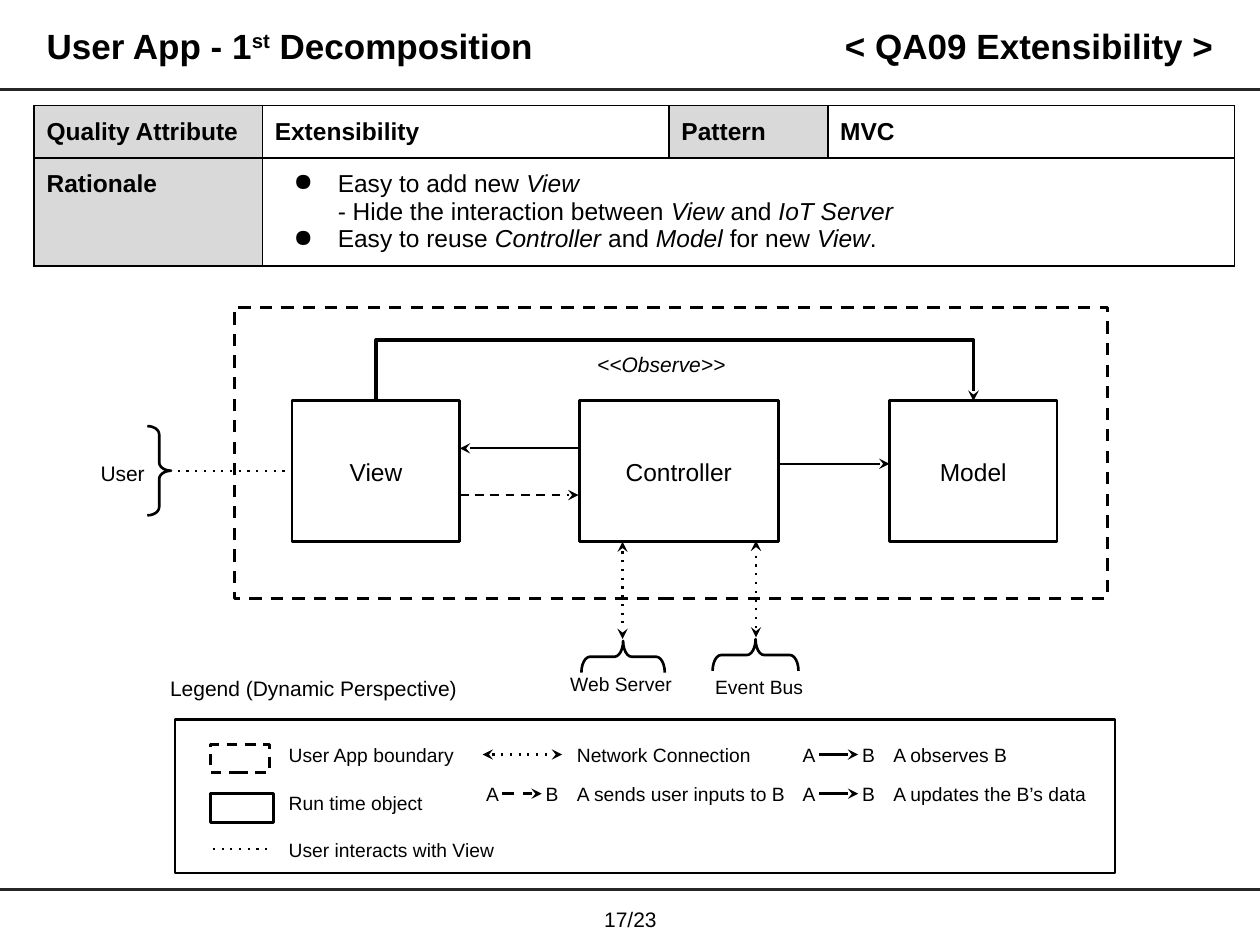
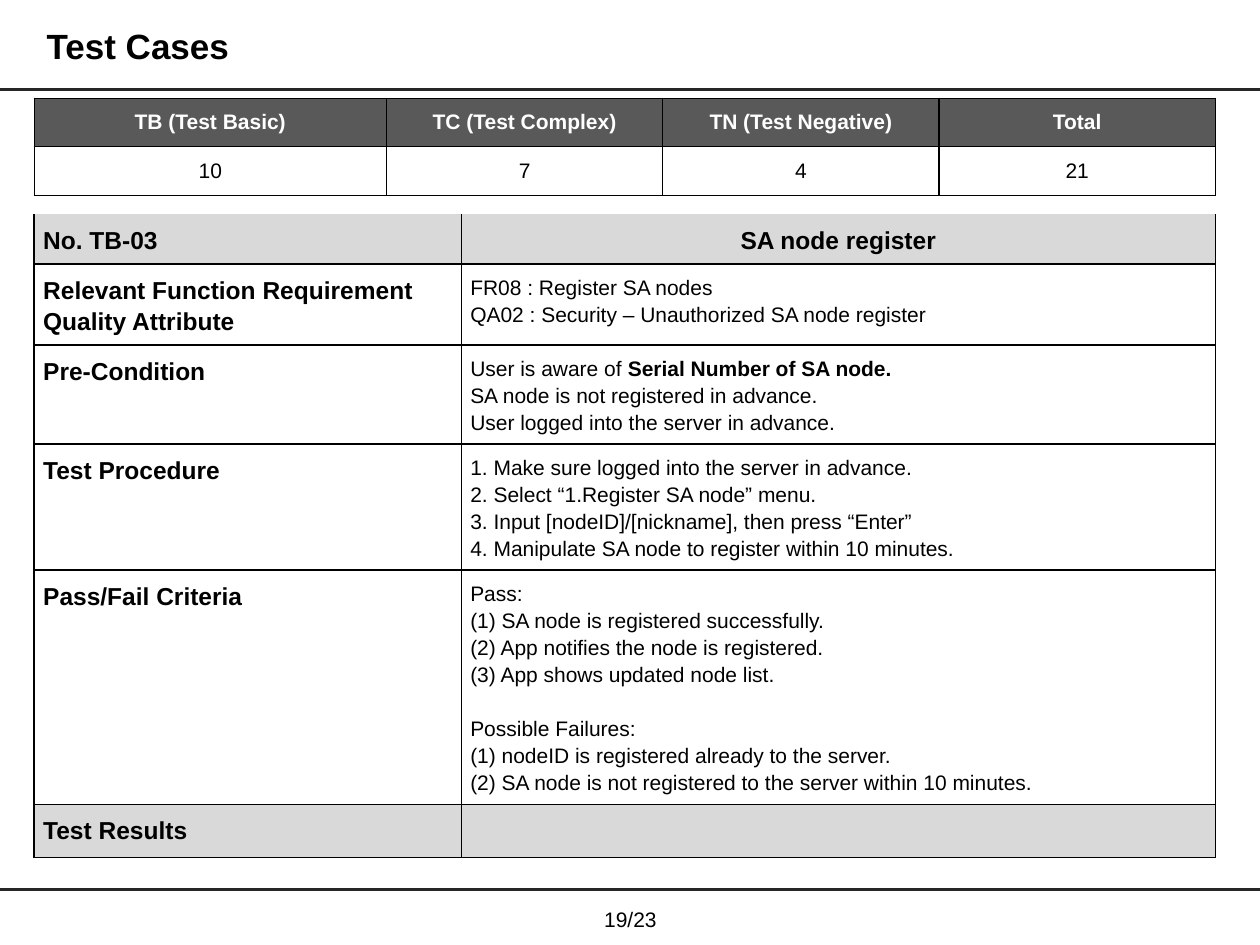
from lxml import etree
from pptx import Presentation
from pptx.dml.color import RGBColor
from pptx.enum.dml import MSO_LINE
from pptx.enum.shapes import MSO_CONNECTOR, MSO_SHAPE
from pptx.enum.text import MSO_ANCHOR, PP_ALIGN
from pptx.oxml.ns import qn
from pptx.util import Cm, Pt

LEFT, CENTER, RIGHT = PP_ALIGN.LEFT, PP_ALIGN.CENTER, PP_ALIGN.RIGHT
MIDDLE = MSO_ANCHOR.MIDDLE
DASH = MSO_LINE.DASH
STRAIGHT, ELBOW = MSO_CONNECTOR.STRAIGHT, MSO_CONNECTOR.ELBOW
RECTANGLE = MSO_SHAPE.RECTANGLE
LEFT_BRACE, RIGHT_BRACE = MSO_SHAPE.LEFT_BRACE, MSO_SHAPE.RIGHT_BRACE

FONT = "Arial"
COLORS = {
    "black": "000000",
    "white": "FFFFFF",
    "rule": "262626",
    "grey": "D9D9D9",
    "dark": "595959",
}
CELL_STYLES = {
    "key": (14, True, LEFT, "black", "grey"),
    "key_center": (14, True, CENTER, "black", "grey"),
    "name": (14, True, LEFT, "black", "white"),
    "list": (14, False, LEFT, "black", "white"),
    "text": (12, False, LEFT, "black", "white"),
    "count_head": (12, True, CENTER, "white", "dark"),
    "count": (12, False, CENTER, "black", "white"),
}


def write(frame, lines, size, bold=False, align=LEFT, color="black", spacing=1.0):
    for index, line in enumerate(lines):
        paragraph = frame.add_paragraph() if index else frame.paragraphs[0]
        paragraph.alignment = align
        paragraph.line_spacing = spacing
        pieces = [(line, "")] if isinstance(line, str) else line
        for text, mark in pieces:
            run = paragraph.add_run()
            run.text = text
            run.font.name = FONT
            run.font.size = Pt(size)
            run.font.bold = bold or mark == "bold"
            run.font.italic = mark == "italic"
            run.font.color.rgb = RGBColor.from_string(COLORS[color])
            if mark == "superscript":
                run.font._element.set("baseline", "30000")


def draw_line(slide, x1, y1, x2, y2, weight, dash="solid", ends="", color="black", kind=STRAIGHT):
    line = slide.shapes.add_connector(kind, Cm(x1), Cm(y1), Cm(x2), Cm(y2))
    line.line.color.rgb = RGBColor.from_string(COLORS[color])
    line.line.width = Pt(weight)
    properties = line._element.spPr
    outline = properties.find(qn("a:ln"))
    etree.SubElement(outline, qn("a:prstDash"), val=dash)
    for end in ends.split():
        etree.SubElement(outline, qn(f"a:{end}End"), type="stealth")
    etree.SubElement(properties, qn("a:effectLst"))
    return line


presentation = Presentation()
presentation.slide_width = Cm(25.4)
presentation.slide_height = Cm(19.05)
blank = presentation.slide_layouts[6]
design_slide = presentation.slides.add_slide(blank)
test_slide = presentation.slides.add_slide(blank)

labels = []
for slide, title, page in [
    (design_slide, [("User App - 1", ""), ("st", "superscript"), (" Decomposition", "")], "17/23"),
    (test_slide, "Test Cases", "19/23"),
]:
    for y in (1.8, 17.93):
        draw_line(slide, 0, y, 25.4, y, 1.75, color="rule")
    labels.append((slide, 0.84, 0.91, 15, title, 20, LEFT, True))
    labels.append((slide, 11.73, 18.53, 1.96, page, 12, CENTER, False))

tables = [
    (design_slide, 0.69, 2.13, [4.6, 8.2, 3.2, 8.2], [1.05, 2.18], 0.25, 1, 1.0, [
        [("key", ["Quality Attribute"]), ("name", ["Extensibility"]),
         ("key", ["Pattern"]), ("name", ["MVC"])],
        [("key", ["Rationale"]),
         ("list", [
             [("Easy to add new ", ""), ("View", "italic")],
             [("- Hide the interaction between ", ""), ("View ", "italic"),
              ("and ", ""), ("IoT Server", "italic")],
             [("Easy to reuse ", ""), ("Controller ", "italic"), ("and ", ""),
              ("Model ", "italic"), ("for new ", ""), ("View", "italic"), (".", "")],
         ]),
         ("list", []), ("list", [])],
    ]),
    (test_slide, 0.69, 4.32, [8.61, 15.2], [1, 1.63, 1.99, 2.53, 4.72, 0.99], 0.18, 1, 1.15, [
        [("key", ["No. TB-03"]), ("key_center", ["SA node register"])],
        [("name", ["Relevant Function Requirement", "Quality Attribute"]),
         ("text", ["FR08 : Register SA nodes",
                   "QA02 : Security – Unauthorized SA node register"])],
        [("name", ["Pre-Condition"]),
         ("text", [[("User is aware of ", ""), ("Serial Number of SA node.", "bold")],
                   "SA node is not registered in advance.",
                   "User logged into the server in advance."])],
        [("name", ["Test Procedure"]),
         ("text", ["1. Make sure logged into the server in advance.",
                   "2. Select “1.Register SA node” menu.",
                   "3. Input [nodeID]/[nickname], then press “Enter”",
                   "4. Manipulate SA node to register within 10 minutes."])],
        [("name", ["Pass/Fail Criteria"]),
         ("text", ["Pass:",
                   "(1) SA node is registered successfully.",
                   "(2) App notifies the node is registered.",
                   "(3) App shows updated node list.",
                   "Possible Failures:",
                   "(1) nodeID is registered already to the server.",
                   "(2) SA node is not registered to the server within 10 minutes."])],
        [("key", ["Test Results"]), ("key", [""])],
    ]),
    (test_slide, 0.69, 1.98, [7.1, 5.57, 5.57, 5.57], [0.98, 0.98], 0.25, 0.75, 1.0, [
        [("count_head", [text]) for text in
         ("TB (Test Basic)", "TC (Test Complex)", "TN (Test Negative)", "Total")],
        [("count", [text]) for text in ("10", "7", "4", "21")],
    ]),
]
built_tables = []
for slide, left, top, widths, heights, margin, border, spacing, rows in tables:
    table = slide.shapes.add_table(
        len(heights), len(widths), Cm(left), Cm(top), Cm(sum(widths)), Cm(sum(heights))
    ).table
    table.first_row = table.horz_banding = False
    for column, width in zip(table.columns, widths):
        column.width = Cm(width)
    for row, height in zip(table.rows, heights):
        row.height = Cm(height)
    for row_index, row_cells in enumerate(rows):
        for column_index, (style, lines) in enumerate(row_cells):
            size, bold, align, color, fill = CELL_STYLES[style]
            cell = table.cell(row_index, column_index)
            cell.margin_left = cell.margin_right = Cm(margin)
            cell.margin_top = cell.margin_bottom = Cm(margin)
            write(cell.text_frame, lines, size, bold, align, color, spacing)
            properties = cell._tc.get_or_add_tcPr()
            for side in "LRTB":
                edge = etree.SubElement(properties, qn(f"a:ln{side}"), w=str(Pt(border)))
                if side == "T" and row_index == 0 and style.startswith("key") and slide is test_slide:
                    etree.SubElement(edge, qn("a:noFill"))
                else:
                    paint = etree.SubElement(edge, qn("a:solidFill"))
                    etree.SubElement(paint, qn("a:srgbClr"), val=COLORS["black"])
            cell.fill.solid()
            cell.fill.fore_color.rgb = RGBColor.from_string(COLORS[fill])
    built_tables.append(table)

rationale = built_tables[0].cell(1, 1)
rationale.merge(built_tables[0].cell(1, 3))
for paragraph, bullet in zip(rationale.text_frame.paragraphs, ("●", "", "●")):
    properties = paragraph._p.get_or_add_pPr()
    properties.set("marL", str(Cm(1.27)))
    properties.set("indent", str(-Cm(0.89) if bullet else 0))
    if bullet:
        etree.SubElement(properties, qn("a:buChar"), char=bullet)

criteria = built_tables[1].cell(4, 1).text_frame
criteria.paragraphs[4].space_before = Pt(15.4)

components = {}
for name, left, top, width, height, weight, dash, filled in [
    ("", 3.53, 14.5, 18.95, 3.1, 1.5, None, True),
    ("", 4.24, 15.01, 1.19, 0.56, 1.5, DASH, False),
    ("", 4.24, 16, 1.27, 0.58, 1.5, None, True),
    ("", 4.72, 6.2, 17.6, 5.87, 1.75, DASH, False),
    ("View", 5.89, 8.08, 3.38, 2.84, 1.5, None, True),
    ("Controller", 11.68, 8.08, 4.01, 2.84, 1.5, None, True),
    ("Model", 17.93, 8.08, 3.38, 2.84, 1.5, None, True),
]:
    shape = design_slide.shapes.add_shape(RECTANGLE, Cm(left), Cm(top), Cm(width), Cm(height))
    shape.shadow.inherit = False
    if filled:
        shape.fill.solid()
        shape.fill.fore_color.rgb = RGBColor.from_string(COLORS["white"])
    else:
        shape.fill.background()
    shape.line.color.rgb = RGBColor.from_string(COLORS["black"])
    shape.line.width = Pt(weight)
    shape.line.dash_style = dash
    if name:
        write(shape.text_frame, [name], 14, align=CENTER)
        components[name] = shape

for kind, left, top, width, height, rotation, curl in [
    (LEFT_BRACE, 14.91, 12.34, 0.64, 1.73, 90, 0.27),
    (LEFT_BRACE, 12.24, 12.4, 0.64, 1.68, 90, 0.27),
    (RIGHT_BRACE, 2.97, 8.59, 0.48, 1.8, 0, 0.35),
]:
    brace = design_slide.shapes.add_shape(kind, Cm(left), Cm(top), Cm(width), Cm(height))
    brace.shadow.inherit = False
    brace.rotation = rotation
    brace.adjustments[0] = curl
    brace.fill.background()
    brace.line.color.rgb = RGBColor.from_string(COLORS["black"])
    brace.line.width = Pt(1.5)

for x1, y1, x2, y2, weight, dash, ends in [
    (9.73, 15.21, 11.33, 15.21, 1.25, "dot", "head tail"),
    (10.11, 16, 10.92, 16, 1.75, "dash", "tail"),
    (16.51, 15.21, 17.3, 15.21, 2, "solid", "tail"),
    (16.51, 16, 17.3, 16, 1.75, "solid", "tail"),
    (4.29, 17.12, 5.49, 17.12, 1.25, "dot", ""),
    (9.27, 9.98, 11.66, 9.98, 1.25, "dash", "tail"),
    (12.55, 10.92, 12.55, 12.88, 1.25, "dot", "head tail"),
    (15.24, 12.85, 15.24, 10.9, 1.25, "dot", "head tail"),
    (11.68, 9.04, 9.27, 9.04, 1.25, "solid", "tail"),
    (15.7, 9.35, 17.93, 9.35, 1.25, "solid", "tail"),
    (3.58, 9.5, 5.89, 9.5, 1.25, "dot", ""),
]:
    draw_line(design_slide, x1, y1, x2, y2, weight, dash, ends)

observe = draw_line(design_slide, 7.58, 8.08, 19.62, 8.08, 2, ends="tail", kind=ELBOW)
observe.begin_connect(components["View"], 0)
observe.end_connect(components["Model"], 0)
observe.left, observe.top = Cm(13.6), Cm(2.06)
observe.width, observe.height = Cm(0.01), Cm(12.04)
transform = observe._element.spPr.find(qn("a:xfrm"))
transform.set("rot", "16200000")
transform.set("flipH", "1")
guides = observe._element.spPr.find(qn("a:prstGeom")).find(qn("a:avLst"))
etree.SubElement(guides, qn("a:gd"), name="adj1", fmla="val -12200000")

labels.append((design_slide, 16.48, 0.91, 8.08, "< QA09 Extensibility >", 20, RIGHT, True))
for left, middle, width, content, size, align in [
    (3.33, 13.87, 8.4, "Legend (Dynamic Perspective)", 12, LEFT),
    (0.23, 9.54, 2.79, "User", 12, RIGHT),
    (11.94, 7.34, 3.5, [("<<Observe>>", "italic")], 12, LEFT),
    (10.03, 13.79, 4.98, "Web Server", 11, CENTER),
    (14.1, 13.84, 2.41, "Event Bus", 11, CENTER),
    (5.72, 15.21, 5.79, "User App boundary", 11, LEFT),
    (5.72, 16.19, 5.79, "Run time object", 11, LEFT),
    (5.72, 17.14, 4.72, "User interacts with View", 11, LEFT),
    (11.53, 15.21, 5.79, "Network Connection", 11, LEFT),
    (11.53, 16, 5.79, "A sends user inputs to B", 11, LEFT),
    (17.91, 15.21, 3.81, "A observes B", 11, LEFT),
    (17.91, 16, 4.39, "A updates the B’s data", 11, LEFT),
]:
    labels.append((design_slide, left, middle, width, content, size, align, False))
for left, middle in [(9.63, 16), (16.01, 15.21), (16.01, 16)]:
    for offset, letter in [(0, "A"), (1.2, "B")]:
        labels.append((design_slide, left + offset, middle, 0.6, letter, 11, CENTER, False))

for slide, left, middle, width, content, size, align, bold in labels:
    frame = slide.shapes.add_textbox(Cm(left), Cm(middle - 0.5), Cm(width), Cm(1)).text_frame
    frame.word_wrap = True
    frame.vertical_anchor = MIDDLE
    frame.margin_left = frame.margin_right = Cm(0.1)
    frame.margin_top = frame.margin_bottom = Cm(0.1)
    write(frame, [content], size, bold, align)

presentation.save("out.pptx")
